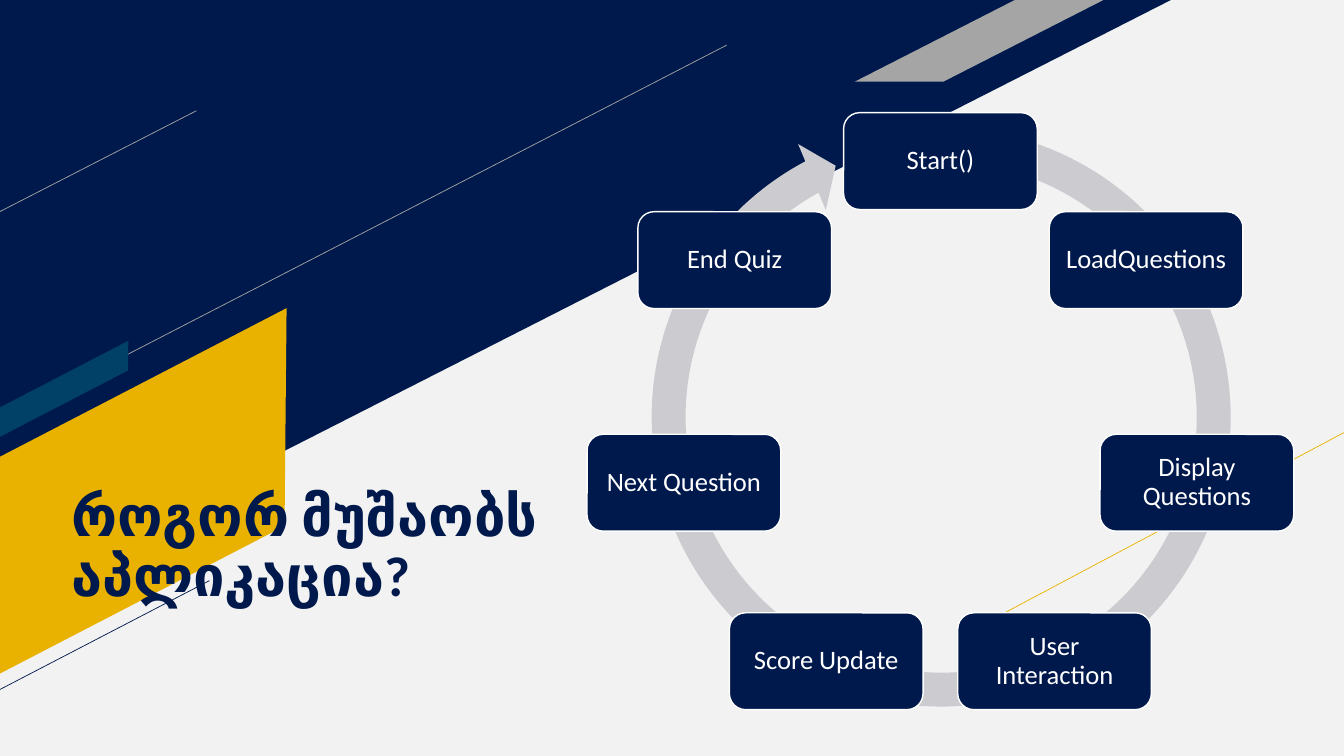
from math import cos, pi, sin

from pptx import Presentation
from pptx.dml.color import RGBColor
from pptx.enum.shapes import MSO_CONNECTOR as Connector, MSO_SHAPE as Shape
from pptx.enum.text import MSO_ANCHOR as Anchor, PP_ALIGN as Align
from pptx.oxml.ns import qn
from pptx.util import Cm, Pt

NAVY = RGBColor(0x00, 0x19, 0x4C)
GOLD = RGBColor(0xEA, 0xB2, 0x00)
TEAL = RGBColor(0x01, 0x40, 0x67)
GREY = RGBColor(0xA5, 0xA5, 0xA5)
LINE_GREY = RGBColor(0xA6, 0xA6, 0xA6)
RING_GREY = RGBColor(0xCC, 0xCC, 0xD0)
PAPER = RGBColor(0xF2, 0xF2, 0xF2)
WHITE = RGBColor(0xFF, 0xFF, 0xFF)

STEPS = ["Start()", "LoadQuestions", "Display Questions", "User Interaction",
         "Score Update", "Next Question", "End Quiz"]
CYCLE_X, CYCLE_Y, CYCLE_RADIUS = 23.7, 10.69, 6.63
STEP_WIDTH, STEP_HEIGHT = 4.88, 2.44
ARROW_SIZE = 15.54
SLANT = 332.6


def write(shape, text, size, color, bold=False, align=Align.LEFT,
          anchor=Anchor.MIDDLE, insets=(0.2, 0.2, 0.2, 0.2)):
    """Fill a shape with one paragraph; insets are left, top, right, bottom in cm."""
    frame = shape.text_frame
    frame.word_wrap = True
    frame.vertical_anchor = anchor
    (frame.margin_left, frame.margin_top,
     frame.margin_right, frame.margin_bottom) = map(Cm, insets)
    para = frame.paragraphs[0]
    para.alignment = align
    para.line_spacing = 0.9
    span = para.add_run()
    span.text = text
    span.font.name = "Calibri"
    span.font.size = Pt(size)
    span.font.bold = bold
    span.font.color.rgb = color


class Painter:
    """Draws styled elements on one page, with lengths in cm."""

    def __init__(self, page):
        self.page = page
        self.shapes = page.shapes

    def background(self, color):
        fill = self.page.background.fill
        fill.solid()
        fill.fore_color.rgb = color

    def paint(self, shape, fill, outline=None):
        shape.shadow.inherit = False
        shape.fill.solid()
        shape.fill.fore_color.rgb = fill
        if outline is None:
            shape.line.fill.background()
        else:
            shape.line.color.rgb = outline
            shape.line.width = Pt(1)
        return shape

    def shape(self, kind, left, top, width, height, fill, outline=None,
              adjustments=(), rotation=0):
        box = self.shapes.add_shape(kind, Cm(left), Cm(top), Cm(width), Cm(height))
        for index, value in enumerate(adjustments):
            box.adjustments[index] = value
        box.rotation = rotation
        return self.paint(box, fill, outline)

    def polygon(self, points, fill):
        start, *others = [(Cm(x), Cm(y)) for x, y in points]
        builder = self.shapes.build_freeform(*start)
        builder.add_line_segments(others, close=True)
        return self.paint(builder.convert_to_shape(), fill)

    def line(self, x1, y1, x2, y2, color):
        line = self.shapes.add_connector(
            Connector.STRAIGHT, Cm(x1), Cm(y1), Cm(x2), Cm(y2))
        line.line.color.rgb = color
        line.line.width = Pt(0.5)
        properties = line._element.spPr
        properties.append(properties.makeelement(qn("a:effectLst"), {}))

    def text(self, text, left, top, width, height, **style):
        box = self.shapes.add_textbox(Cm(left), Cm(top), Cm(width), Cm(height))
        write(box, text, **style)

    def step(self, text, center_x, center_y):
        box = self.shape(Shape.ROUNDED_RECTANGLE, center_x - STEP_WIDTH / 2,
                         center_y - STEP_HEIGHT / 2, STEP_WIDTH, STEP_HEIGHT,
                         NAVY, WHITE)
        write(box, text, size=19, color=WHITE, align=Align.CENTER)


def draw_backdrop(painter):
    painter.background(PAPER)
    painter.polygon([(0, 0), (29.51, 0), (0, 15.01)], NAVY)
    painter.shape(Shape.PARALLELOGRAM, -1.78, 9.96, 10.72, 4.85, GOLD,
                  adjustments=[0.53], rotation=SLANT)
    painter.line(0, 5.33, 4.95, 2.79, LINE_GREY)
    painter.line(25.02, 15.6, 33.87, 10.9, GOLD)
    painter.shape(Shape.PARALLELOGRAM, 21.54, 0, 6.27, 2.06, GREY,
                  adjustments=[1.96])
    painter.line(0, 10.59, 18.31, 1.14, LINE_GREY)
    painter.line(-0.05, 17.4, 5.28, 14.63, NAVY)
    painter.shape(Shape.PARALLELOGRAM, -0.38, 9.47, 3.99, 0.66, TEAL,
                  adjustments=[0.53], rotation=SLANT)


def draw_cycle(painter):
    painter.shape(Shape.CIRCULAR_ARROW, 15.95, 2.74, ARROW_SIZE, ARROW_SIZE,
                  RING_GREY, adjustments=[0.055, 3.31, 145.02, 169.58, 0.058])
    for index, step in enumerate(STEPS):
        angle = 2 * pi * index / len(STEPS)
        painter.step(step, CYCLE_X + CYCLE_RADIUS * sin(angle),
                     CYCLE_Y - CYCLE_RADIUS * cos(angle))


def main():
    deck = Presentation()
    deck.slide_width, deck.slide_height = Cm(33.87), Cm(19.05)
    painter = Painter(deck.slides.add_slide(deck.slide_layouts[6]))
    draw_backdrop(painter)
    painter.text("როგორ მუშაობს აპლიკაცია?", 1.55, 10.36, 13.64, 4.98,
                 size=40, color=NAVY, bold=True, anchor=Anchor.BOTTOM,
                 insets=(0.25, 0.13, 0.25, 0))
    draw_cycle(painter)
    deck.save("out.pptx")


if __name__ == "__main__":
    main()
